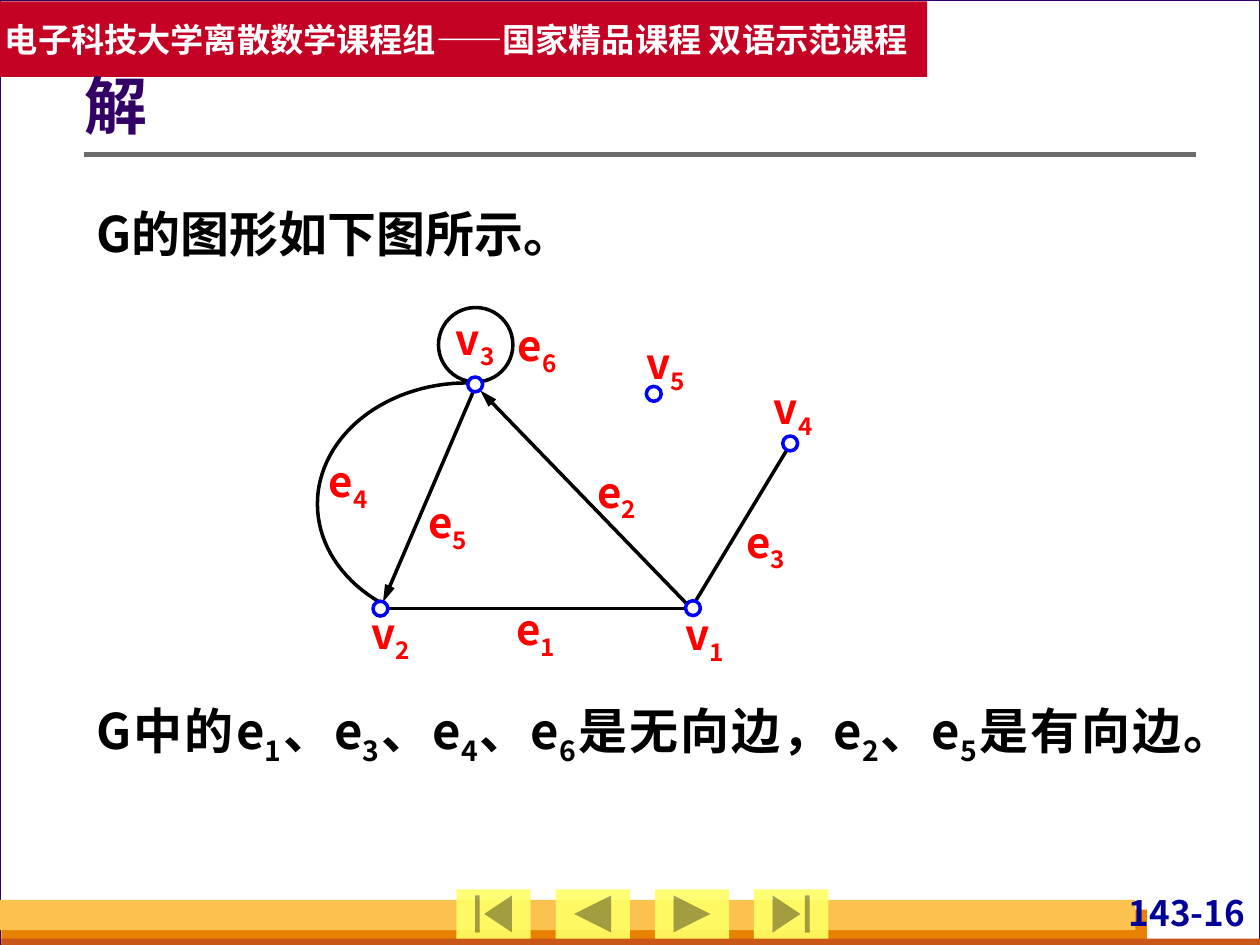
from dataclasses import dataclass
from math import cos, radians, sin

from lxml import etree
from pptx import Presentation
from pptx.dml.color import RGBColor
from pptx.enum.shapes import MSO_CONNECTOR, MSO_SHAPE
from pptx.enum.text import MSO_ANCHOR, PP_ALIGN
from pptx.oxml.ns import qn
from pptx.util import Cm, Pt


@dataclass(frozen=True)
class Theme:
    font: str = "Noto Sans CJK SC"
    back: str = "D8DADA"
    white: str = "FFFFFF"
    black: str = "000000"
    purple: str = "330066"
    crimson: str = "C30224"
    orange: str = "E88000"
    rust: str = "C95616"
    amber: str = "FCC24F"
    yellow: str = "FFFF66"
    gray: str = "6B6B6B"
    navy: str = "000099"
    label: str = "FF0000"
    node: str = "0000FF"
    header_size: int = 19
    number_size: int = 20
    label_size: int = 24
    body_size: int = 28
    title_size: int = 36


class GraphSlide:
    """Draws the elements of one slide in one theme; all lengths are centimetres."""

    def __init__(self, slide, theme):
        self.s = slide
        self.t = theme
        fill = slide.background.fill
        fill.solid()
        fill.fore_color.rgb = RGBColor.from_string(theme.back)

    def style(self, sp, fill=None, line=None, width=2):
        sp.shadow.inherit = False
        if fill:
            sp.fill.solid()
            sp.fill.fore_color.rgb = RGBColor.from_string(fill)
        else:
            sp.fill.background()
        if line:
            sp.line.color.rgb = RGBColor.from_string(line)
            sp.line.width = Pt(width)
        else:
            sp.line.fill.background()
        return sp

    def shape(self, kind, box, fill=None, line=None, width=2):
        sp = self.s.shapes.add_shape(kind, *map(Cm, box))
        return self.style(sp, fill, line, width)

    def button(self, kind, box):
        sp = self.shape(kind, box, self.t.yellow)
        color = sp._element.spPr.find(qn("a:solidFill"))[0]
        etree.SubElement(color, qn("a:alpha")).set("val", "90000")

    def add_text(self, sp, text, size, color, align=PP_ALIGN.LEFT, spacing=None,
                 insets=(0.25, 0.13, 0.25, 0.13), anchor=MSO_ANCHOR.TOP, wrap=True):
        tf = sp.text_frame
        tf.word_wrap = wrap
        tf.vertical_anchor = anchor
        tf.margin_left, tf.margin_top, tf.margin_right, tf.margin_bottom = map(Cm, insets)
        p = tf.paragraphs[0]
        p.alignment = align
        p.line_spacing = spacing
        for i, part in enumerate(text.split("|")):
            r = p.add_run()
            r.text = part
            r.font.name = self.t.font
            r.font.size = Pt(size)
            r.font.bold = True
            r.font.color.rgb = RGBColor.from_string(color)
            rpr = r._r.get_or_add_rPr()
            etree.SubElement(rpr, qn("a:ea")).set("typeface", self.t.font)
            if i % 2:
                rpr.set("baseline", "-25000")

    def text(self, box, text, size, color, **options):
        self.add_text(self.s.shapes.add_textbox(*map(Cm, box)), text, size, color, **options)

    def line(self, start, end, color, width=2, arrow=False):
        c = self.s.shapes.add_connector(MSO_CONNECTOR.STRAIGHT, *map(Cm, start + end))
        c.line.color.rgb = RGBColor.from_string(color)
        c.line.width = Pt(width)
        if arrow:
            ln = c._element.spPr.find(qn("a:ln"))
            tail = etree.SubElement(ln, qn("a:tailEnd"))
            for key, value in (("type", "triangle"), ("w", "med"), ("len", "lg")):
                tail.set(key, value)
        etree.SubElement(c._element.spPr, qn("a:effectLst"))

    def arc(self, center, radii, start, end, steps=48):
        angles = [radians(start + (end - start) * i / steps) for i in range(steps + 1)]
        points = [(Cm(center[0] + radii[0] * cos(a)), Cm(center[1] + radii[1] * sin(a)))
                  for a in angles]
        builder = self.s.shapes.build_freeform(*points[0])
        builder.add_line_segments(points[1:], close=False)
        self.style(builder.convert_to_shape(), line=self.t.black)

    def node(self, x, y, size=0.3):
        box = (x - size / 2, y - size / 2, size, size)
        self.shape(MSO_SHAPE.OVAL, box, self.t.white, self.t.node)

    def label(self, name, x, y, width=1.19):
        self.text((x, y, width, 1.17), name, self.t.label_size, self.t.label,
                  align=PP_ALIGN.JUSTIFY, insets=(0, 0, 0, 0))


def draw_frame(g, t):
    g.shape(MSO_SHAPE.RECTANGLE, (0, 0, 25.4, 19.05), t.white, t.purple, 0.75)
    for box, color in (((0.03, 18.34, 23.09, 0.71), t.orange),
                       ((0.03, 18.92, 25.37, 0.13), t.rust),
                       ((0, 18.14, 22.89, 0.61), t.amber)):
        g.shape(MSO_SHAPE.RECTANGLE, box, color)
    g.text((22.1, 17.98, 3.1, 0.97), "143-16", t.number_size, t.navy,
           align=PP_ALIGN.RIGHT, insets=(0.1, 0, 0.1, 0))
    g.line((1.7, 3.12), (24.1, 3.12), t.gray, 3)
    buttons = (MSO_SHAPE.ACTION_BUTTON_BEGINNING, MSO_SHAPE.ACTION_BUTTON_BACK_OR_PREVIOUS,
               MSO_SHAPE.ACTION_BUTTON_FORWARD_OR_NEXT, MSO_SHAPE.ACTION_BUTTON_END)
    for i, kind in enumerate(buttons):
        g.button(kind, (9.2 + 2 * i, 17.93, 1.5, 0.99))
    header = g.shape(MSO_SHAPE.RECTANGLE, (0, 0.03, 18.69, 1.52), t.crimson)
    g.add_text(header, "电子科技大学离散数学课程组——国家精品课程 双语示范课程", t.header_size,
               t.white, insets=(0.1, 0.13, 0.1, 0.13), anchor=MSO_ANCHOR.MIDDLE, wrap=False)


def draw_text(g, t):
    g.text((1.7, 0.91, 22.4, 2.57), "解", t.title_size, t.purple, spacing=0.9,
           insets=(0, 0.13, 0.25, 0.13), anchor=MSO_ANCHOR.MIDDLE)
    body = {"align": PP_ALIGN.JUSTIFY, "spacing": 1.2}
    g.text((1.7, 3.73, 22.4, 1.68), "G的图形如下图所示。", t.body_size, t.black, **body)
    g.text((1.7, 13.72, 22.4, 3.3),
           "G中的e|1|、e|3|、e|4|、e|6|是无向边，e|2|、e|5|是有向边。",
           t.body_size, t.black, **body)


def draw_graph(g, t):
    for start, end, arrow in (((7.77, 12.27), (13.79, 12.27), False),
                              ((15.85, 9.09), (14.02, 12.12), False),
                              ((13.89, 12.22), (9.68, 7.87), True),
                              ((9.53, 7.92), (7.72, 12.14), True)):
        g.line(start, end, t.black, arrow=arrow)
    g.arc((9.42, 10.16), (3.02, 2.44), 270, 125.5)
    g.shape(MSO_SHAPE.OVAL, (8.84, 6.2, 1.5, 1.5), line=t.black)
    for label in (("v|1", 13.82, 12.27), ("v|2", 7.49, 12.24), ("v|3", 9.19, 6.32),
                  ("v|4", 15.6, 7.72, 0.89), ("v|5", 13.03, 6.81),
                  ("e|1", 10.41, 12.17), ("e|2", 12.04, 9.4), ("e|3", 15.04, 10.41),
                  ("e|4", 6.63, 9.19), ("e|5", 8.64, 10.01), ("e|6", 10.44, 6.45)):
        g.label(*label)
    for x, y in ((13.97, 12.26), (7.67, 12.27), (9.58, 7.75), (15.93, 8.94), (13.18, 7.94)):
        g.node(x, y)


def main():
    prs = Presentation()
    prs.slide_width, prs.slide_height = Cm(25.4), Cm(19.05)
    theme = Theme()
    g = GraphSlide(prs.slides.add_slide(prs.slide_layouts[6]), theme)
    draw_frame(g, theme)
    draw_text(g, theme)
    draw_graph(g, theme)
    prs.save("out.pptx")


if __name__ == "__main__":
    main()
